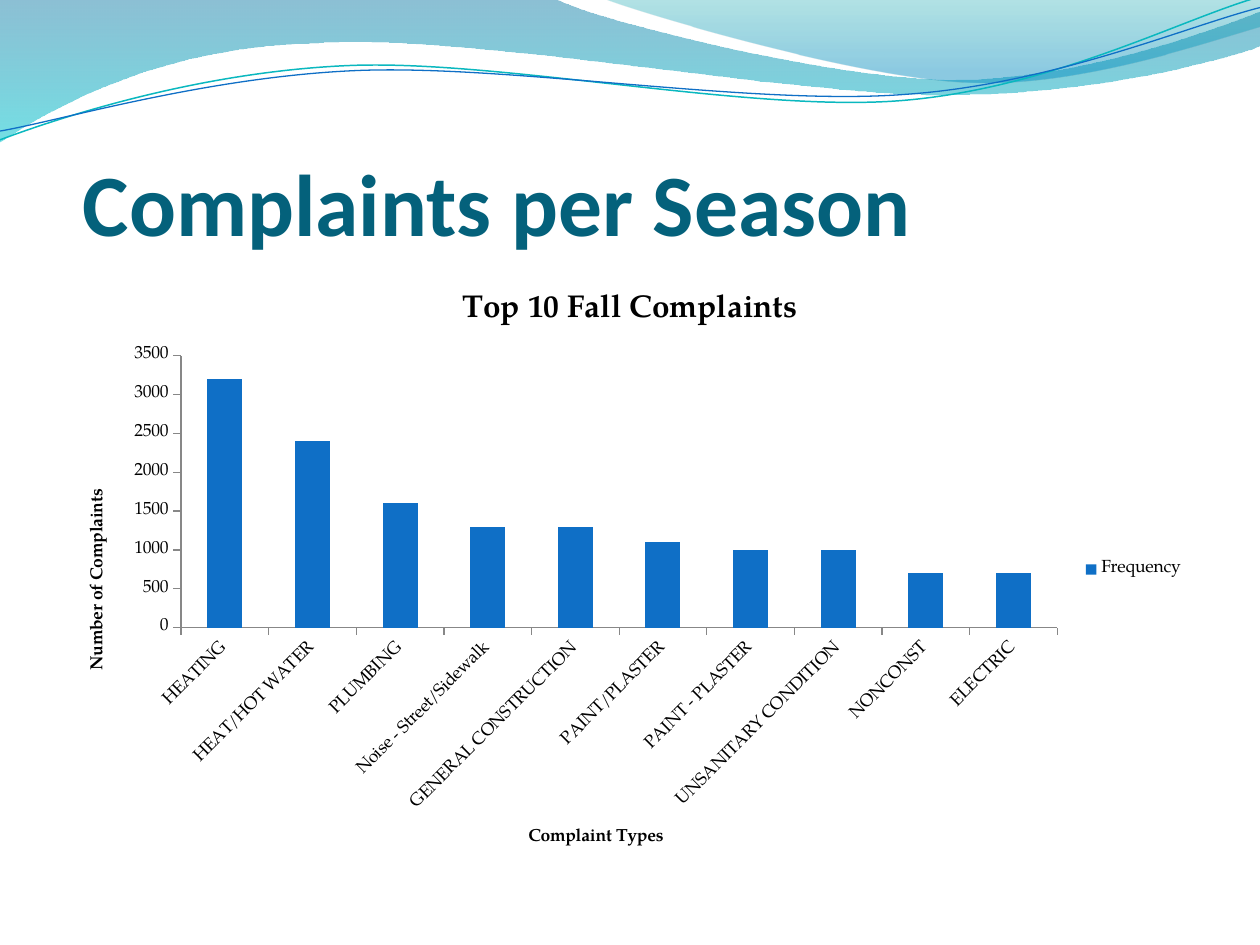
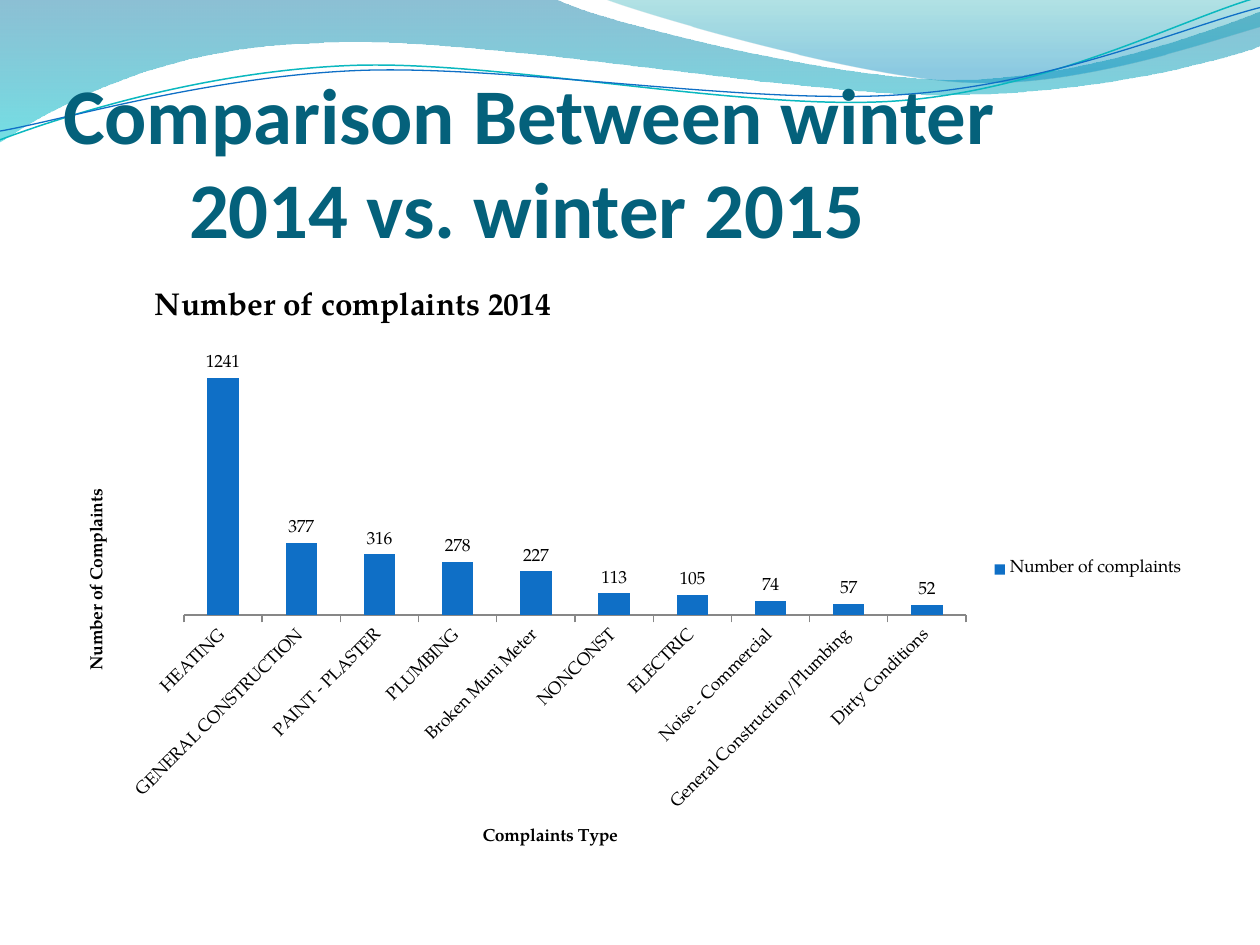
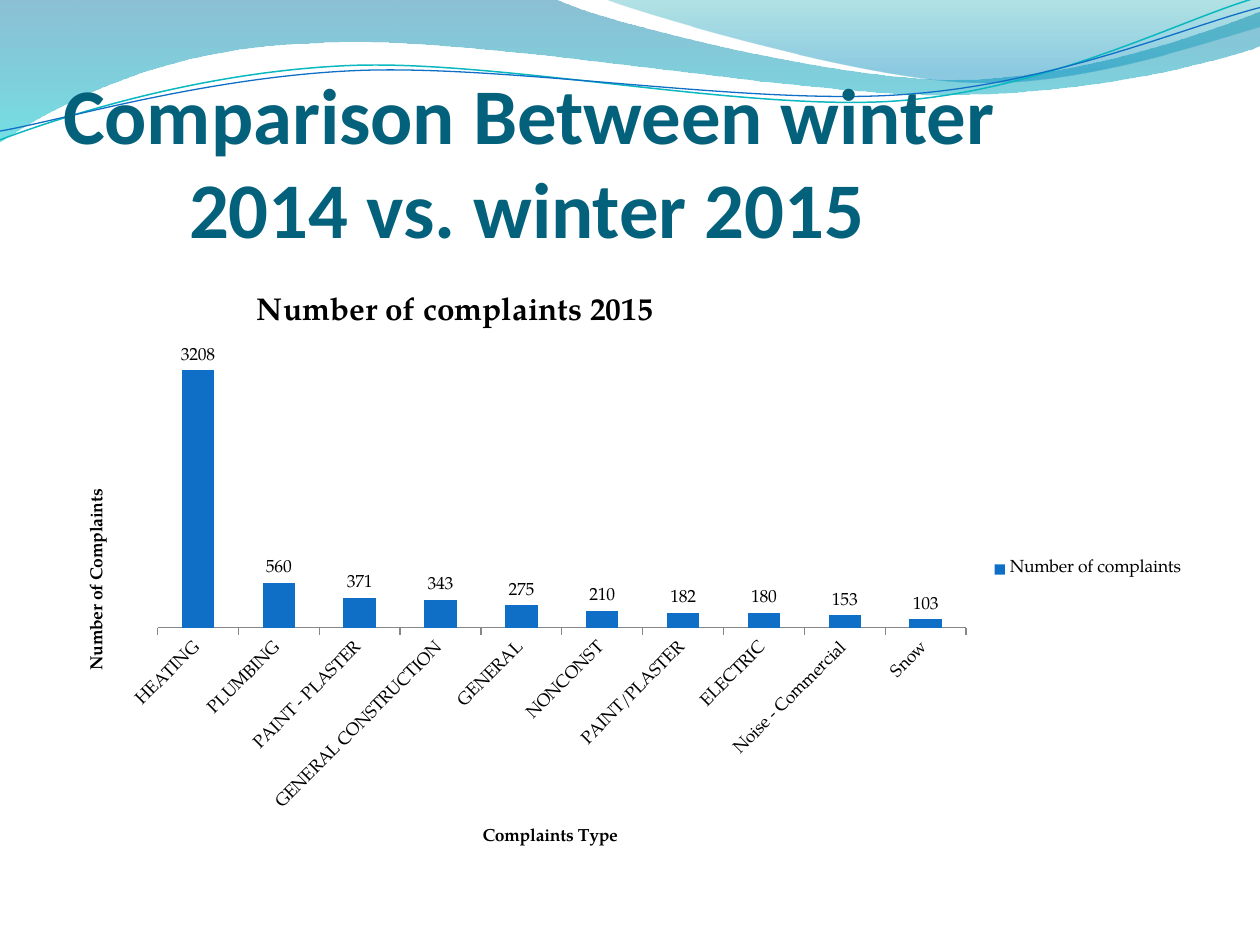
from math import cos, radians, sin

from lxml import etree
from pptx import Presentation
from pptx.chart.data import CategoryChartData
from pptx.dml.color import RGBColor
from pptx.enum.chart import XL_CHART_TYPE, XL_LABEL_POSITION, XL_LEGEND_POSITION, XL_TICK_MARK
from pptx.enum.text import MSO_ANCHOR, MSO_AUTO_SIZE, PP_ALIGN
from pptx.oxml.ns import qn
from pptx.util import Pt

COLUMNS = XL_CHART_TYPE.COLUMN_CLUSTERED
LABEL_ABOVE = XL_LABEL_POSITION.OUTSIDE_END
LEGEND_RIGHT = XL_LEGEND_POSITION.RIGHT
TICK_OUTSIDE = XL_TICK_MARK.OUTSIDE
TICK_NONE = XL_TICK_MARK.NONE
ANCHOR_BOTTOM = MSO_ANCHOR.BOTTOM
FIXED_SIZE = MSO_AUTO_SIZE.NONE
ALIGN_LEFT = PP_ALIGN.LEFT

BLACK = RGBColor(0x00, 0x00, 0x00)
WHITE = RGBColor(0xFF, 0xFF, 0xFF)
TITLE_TEAL = RGBColor(0x04, 0x61, 0x7B)
BLUE = RGBColor(0x0F, 0x6F, 0xC6)
AQUA = RGBColor(0x0A, 0xB8, 0xBF)
DEEP_BLUE = RGBColor(0x00, 0x74, 0xA1)
TURQUOISE = RGBColor(0x00, 0xC6, 0xCF)
SEA_GREEN = RGBColor(0x00, 0xA1, 0xA9)
SKY_BLUE = RGBColor(0x00, 0x8B, 0xBF)

TITLE_FONT = "Calibri"
CHART_FONT = "TeX Gyre Pagella"
TITLE_BOX = (36, 55.44, 648, 90)
CHART_BOX = (36, 152.64, 648, 345.6)
LINE_TILT = -2.7
FIRST_WAVE_ID = 20

WINTER_TITLE = "Comparison Between winter\v2014 vs. winter 2015"
# The place of a chart title is in percent of the chart's width and height.
SLIDES = [
    {
        "title": "Complaints per Season", "size": 50, "margin": 11.3, "hanging": 0,
        "chart_title": "Top 10 Fall Complaints", "title_at": None,
        "category_title": "Complaint Types", "series": "Frequency", "labels": False,
        "data": [("HEATING", 3200), ("HEAT/HOT WATER", 2400), ("PLUMBING", 1600),
                 ("Noise - Street/Sidewalk", 1300), ("GENERAL CONSTRUCTION", 1300),
                 ("PAINT/PLASTER", 1100), ("PAINT - PLASTER", 1000),
                 ("UNSANITARY CONDITION", 1000), ("NONCONST", 700), ("ELECTRIC", 700)],
    },
    {
        "title": WINTER_TITLE, "size": 45, "margin": 0, "hanging": 72,
        "chart_title": "Number of complaints 2014", "title_at": (7.6, 2.7),
        "category_title": "Complaints Type", "series": "Number of complaints", "labels": True,
        "data": [("HEATING", 1241), ("GENERAL CONSTRUCTION", 377), ("PAINT - PLASTER", 316),
                 ("PLUMBING", 278), ("Broken Muni Meter", 227), ("NONCONST", 113),
                 ("ELECTRIC", 105), ("Noise - Commercial", 74),
                 ("General Construction/Plumbing", 57), ("Dirty Conditions", 52)],
    },
    {
        "title": WINTER_TITLE, "size": 45, "margin": 0, "hanging": 72,
        "chart_title": "Number of complaints 2015", "title_at": (16.6, 3.5),
        "category_title": "Complaints Type", "series": "Number of complaints", "labels": True,
        "data": [("HEATING", 3208), ("PLUMBING", 560), ("PAINT - PLASTER", 371),
                 ("GENERAL CONSTRUCTION", 343), ("GENERAL", 275), ("NONCONST", 210),
                 ("PAINT/PLASTER", 182), ("ELECTRIC", 180), ("Noise - Commercial", 153),
                 ("Snow", 103)],
    },
]

# Each segment holds one end point (straight) or two handles and an end point (curved).
WAVE_BANDS = [
    {
        "start": (0, 0),
        "segments": [
            (316.8, -0.72),
            (342.72, 12.24, 478.08, 45.36, 545.76, 45.36),
            (614.16, 45.36, 689.76, 18.72, 720, 6.48),
            (720.72, 25.92),
            (707.76, 31.68, 626.4, 54.72, 537.12, 54),
            (447.84, 54, 275.04, 20.16, 185.04, 24.48),
            (92.88, 25.92, 33.12, 59.76, -0.72, 81.36),
            (0, 0),
        ],
        "stops": [(0, DEEP_BLUE, 45), (1, TURQUOISE, 55)],
    },
    {
        "start": (344.88, -0.72),
        "segments": [
            (366.48, 7.92, 491.04, 44.64, 553.68, 46.8),
            (616.32, 49.68, 691.92, 23.04, 720, 15.12),
            (720, 0),
            (344.88, -0.72),
        ],
        "stops": [(0, SEA_GREEN, 30), (0.8, SKY_BLUE, 45)],
    },
]
WAVE_LINES = [
    {
        "start": (0, 79.92),
        "segments": [
            (34.56, 66.96, 113.76, 41.04, 199.44, 37.44),
            (284.4, 33.84, 426.96, 64.08, 513.36, 57.6),
            (599.76, 51.12, 675.36, 10.8, 718.56, -1.44),
        ],
        "center": (359.28, 41.4), "color": AQUA, "width": 0.85,
    },
    {
        "start": (0, 74.88),
        "segments": [
            (33.84, 69.12, 118.08, 43.92, 203.76, 40.32),
            (290.16, 36.72, 429.84, 60.48, 516.24, 54),
            (601.92, 48.24, 677.52, 15.12, 720, 4.32),
        ],
        "center": (359.64, 42.48), "color": BLUE, "width": 0.75,
    },
]


def in_points(values):
    """Return the values as lengths in points."""
    return [Pt(value) for value in values]


def set_values(target, values):
    """Set each named attribute of the target."""
    for name, value in values.items():
        setattr(target, name, value)


def turn(point, center, degrees):
    """Turn a point clockwise around a center."""
    x, y = point[0] - center[0], point[1] - center[1]
    angle = radians(degrees)
    return (center[0] + x * cos(angle) - y * sin(angle),
            center[1] + x * sin(angle) + y * cos(angle))


def bend_segments(shape, segments):
    """Join each three straight steps of a curved segment into one curve."""
    steps = shape.element.iter(qn("a:lnTo"))
    steps = iter(list(steps))
    for segment in segments:
        parts = [next(steps) for _ in range(len(segment) // 2)]
        if len(parts) == 3:
            curve = etree.Element(qn("a:cubicBezTo"))
            parts[0].addprevious(curve)
            for part in parts:
                curve.append(part[0])
                part.getparent().remove(part)


def add_wave(slide, wave, tilt=0):
    """Add one curved outline and move it to the slide's layout."""
    points = [wave["start"]]
    for segment in wave["segments"]:
        points += zip(segment[::2], segment[1::2])
    if tilt:
        points = [turn(point, wave["center"], -tilt) for point in points]
    start, *rest = [in_points(point) for point in points]
    builder = slide.shapes.build_freeform(*start)
    builder.add_line_segments(rest, close="stops" in wave)
    shape = builder.convert_to_shape()
    bend_segments(shape, wave["segments"])
    shape.shadow.inherit = False
    shape.rotation = tilt
    slide.slide_layout.placeholders[0].element.addprevious(shape.element)
    return shape


def add_waves(slide):
    """Add the gradient bands and thin lines to the layout."""
    shapes = []
    for band in WAVE_BANDS:
        shape = add_wave(slide, band)
        shapes.append(shape)
        shape.line.fill.background()
        shape.fill.gradient()
        shape.fill.gradient_angle = 270
        for stop, (position, color, _) in zip(shape.fill.gradient_stops, band["stops"]):
            stop.position = position
            stop.color.rgb = color
        colors = list(shape.element.spPr.iter(qn("a:srgbClr")))
        for color_element, (_, _, opacity) in zip(colors, band["stops"]):
            etree.SubElement(color_element, qn("a:alpha"), val=str(opacity * 1000))
    for line in WAVE_LINES:
        shape = add_wave(slide, line, LINE_TILT)
        shapes.append(shape)
        shape.fill.background()
        shape.line.color.rgb = line["color"]
        shape.line.width = Pt(line["width"])
    for number, shape in enumerate(shapes, FIRST_WAVE_ID):
        shape.element.find(".//" + qn("p:cNvPr")).set("id", str(number))


def format_font(font, name, size, color, bold):
    """Apply face, size, colour and weight to a font."""
    set_values(font, {"name": name, "size": Pt(size), "bold": bold})
    font.color.rgb = color


def format_title(title, content):
    """Place and format the slide title."""
    title.left, title.top, title.width, title.height = in_points(TITLE_BOX)
    frame = title.text_frame
    set_values(frame, {
        "text": content["title"], "word_wrap": True, "auto_size": FIXED_SIZE,
        "vertical_anchor": ANCHOR_BOTTOM, "margin_left": Pt(content["margin"]),
        "margin_top": Pt(3.6), "margin_right": 0, "margin_bottom": 0,
    })
    paragraph = frame.paragraphs[0]
    paragraph.alignment = ALIGN_LEFT
    properties = paragraph._p.get_or_add_pPr()
    properties.set("marL", str(Pt(content["hanging"])))
    properties.set("indent", str(-Pt(content["hanging"])))
    for run in paragraph.runs:
        format_font(run.font, TITLE_FONT, content["size"], TITLE_TEAL, True)


def write_chart_text(frame, text, size):
    """Write a bold heading inside a chart."""
    frame.text = text
    format_font(frame.paragraphs[0].runs[0].font, CHART_FONT, size, BLACK, True)


def place_chart_title(chart, position):
    """Fix the top left corner of the chart title."""
    layout = chart.element.find(".//" + qn("c:title") + "/" + qn("c:layout"))
    manual = etree.SubElement(layout, qn("c:manualLayout"))
    left, top = position
    for tag, value in (("xMode", "edge"), ("yMode", "edge"), ("x", left / 100), ("y", top / 100)):
        etree.SubElement(manual, qn("c:" + tag), val=str(value))


def add_complaints_chart(slide, content):
    """Add the column chart of complaints."""
    names, counts = zip(*content["data"])
    chart_data = CategoryChartData()
    chart_data.categories = names
    chart_data.add_series(content["series"], counts)
    chart = slide.shapes.add_chart(COLUMNS, *in_points(CHART_BOX), chart_data).chart
    format_font(chart.font, CHART_FONT, 10, BLACK, False)

    chart.has_title = True
    write_chart_text(chart.chart_title.text_frame, content["chart_title"], 18)
    if content["title_at"]:
        place_chart_title(chart, content["title_at"])
    chart.has_legend = True
    set_values(chart.legend, {"position": LEGEND_RIGHT, "include_in_layout": False})

    axis_titles = ((chart.category_axis, content["category_title"]),
                   (chart.value_axis, "Number of Complaints"))
    for axis, text in axis_titles:
        set_values(axis, {"has_title": True, "major_tick_mark": TICK_OUTSIDE,
                          "minor_tick_mark": TICK_NONE})
        write_chart_text(axis.axis_title.text_frame, text, 10)
    for body in chart.element.xpath("//c:valAx/c:title//a:bodyPr"):
        body.set("rot", "-5400000")
        body.set("vert", "horz")

    gridlines = chart.value_axis.major_gridlines.format.line
    gridlines.color.rgb = WHITE
    gridlines.width = Pt(0.75)
    chart.value_axis.visible = not content["labels"]

    plot = chart.plots[0]
    set_values(plot, {"gap_width": 150, "vary_by_categories": False,
                      "has_data_labels": content["labels"]})
    if content["labels"]:
        set_values(plot.data_labels, {"show_value": True, "position": LABEL_ABOVE})
    fill = plot.series[0].format.fill
    fill.solid()
    fill.fore_color.rgb = BLUE


def main():
    """Build and save the presentation."""
    presentation = Presentation()
    presentation.slide_width, presentation.slide_height = Pt(720), Pt(540)
    title_only = presentation.slide_layouts[5]
    for number, content in enumerate(SLIDES):
        slide = presentation.slides.add_slide(title_only)
        if number == 0:
            add_waves(slide)
        format_title(slide.shapes.title, content)
        add_complaints_chart(slide, content)
    presentation.save("out.pptx")


if __name__ == "__main__":
    main()
